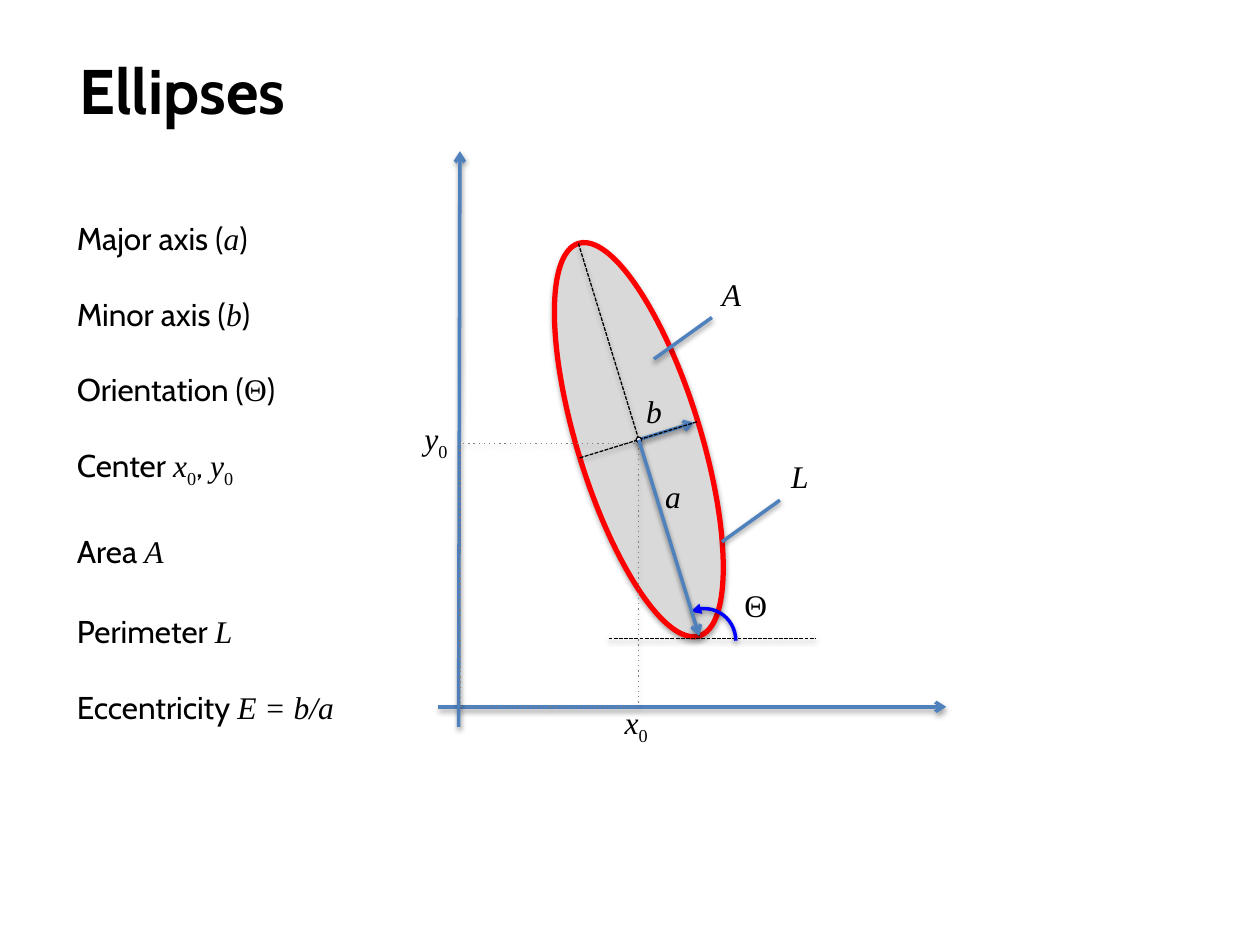
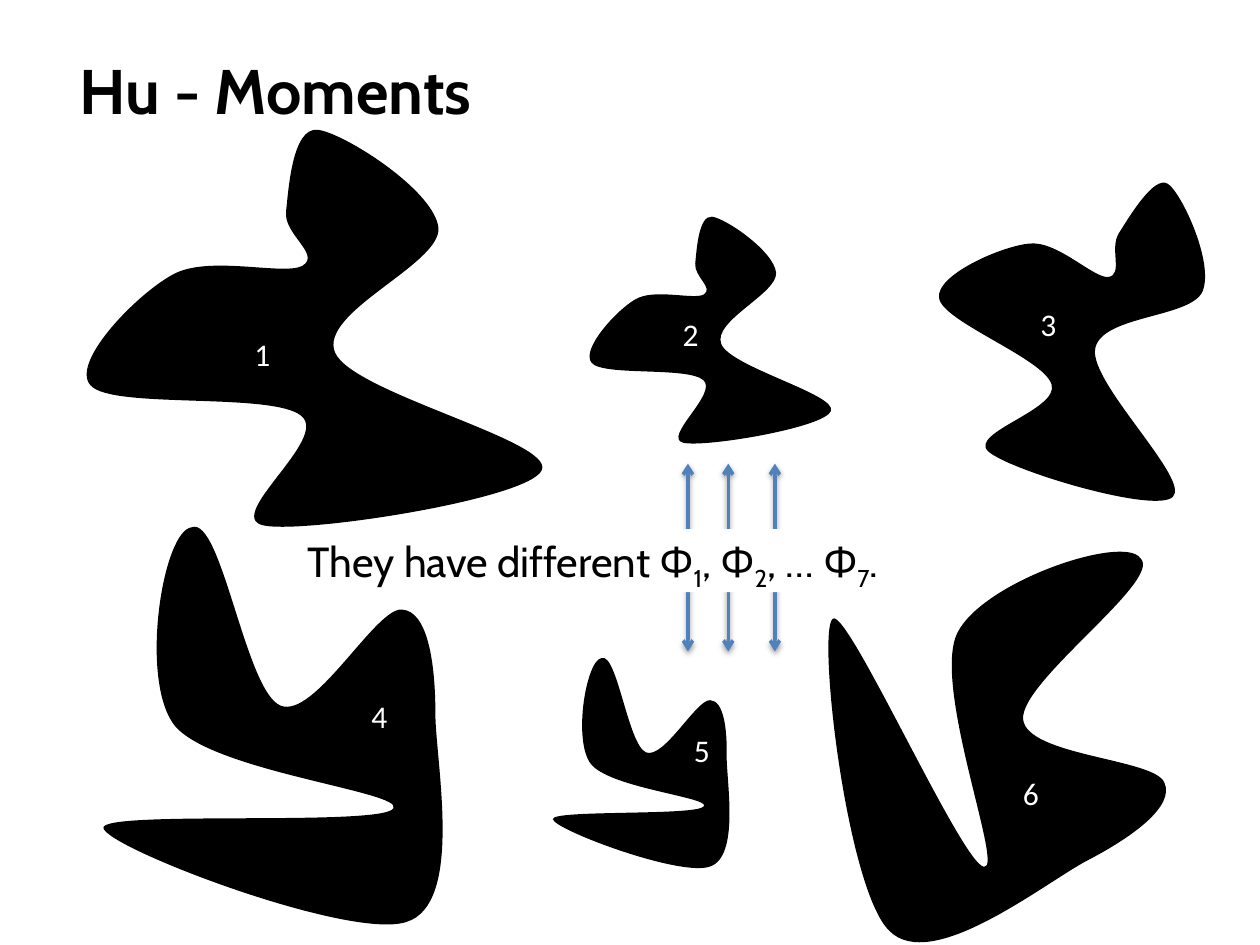
from math import cos, radians, sin

from lxml.etree import SubElement
from pptx import Presentation
from pptx.dml.color import RGBColor
from pptx.enum.shapes import MSO_CONNECTOR, MSO_SHAPE as Shape
from pptx.enum.text import MSO_ANCHOR, MSO_AUTO_SIZE, PP_ALIGN
from pptx.oxml.ns import qn
from pptx.util import Inches, Pt

BLUE, BLACK, WHITE = "4F81BD", "000000", "FFFFFF"
RED, GRAY, DOT_GRAY, ARC_BLUE = "FF0000", "D9D9D9", "808080", "0000FF"
TITLE_LEFT, TITLE_TOP, TITLE_HEIGHT = 0.53, 0.36, 0.71

# style name: font, italic, subscript
STYLES = {
    "text": ("Cabin", False, False),
    "text_sub": ("Cabin", False, True),
    "var": ("Times New Roman", True, False),
    "greek": ("Times New Roman", False, False),
    "var_sub": ("Times New Roman", False, True),
    "number": ("Calibri", False, False),
}

X0 = [("x", "var"), ("0", "var_sub")]
Y0 = [("y", "var"), ("0", "var_sub")]

# space before in points, runs
PROPERTIES = [
    (0, [("Major axis (", "text"), ("a", "var"), (")", "text")]),
    (21.6, [("Minor axis (", "text"), ("b", "var"), (")", "text")]),
    (21.6, [("Orientation (", "text"), ("Θ", "greek"), (")", "text")]),
    (21.6, [("Center ", "text"), *X0, (", ", "text"), *Y0]),
    (24.5, [("Area ", "text"), ("A", "var")]),
    (24.2, [("Perimeter ", "text"), ("L", "var")]),
    (22, [("Eccentricity ", "text"), ("E = b/a", "var")]),
]
PROPERTIES_BOX = (0.51, 1.39, 2.56, 4.85)
PROPERTIES_INSET = 0.35

CENTER = (5.07, 3.49)
SEMI_MAJOR, SEMI_MINOR, TILT = 1.63, 0.49, 72.9
ORIGIN = (3.65, 5.61)
AXES = [((3.48, 5.61), (7.51, 5.61)), ((3.64, 5.77), (3.65, 1.2))]
POINTERS = [((5.65, 2.52), (5.19, 2.85)), ((6.19, 3.97), (5.73, 4.3))]
BASELINE = ((4.83, 5.07), (6.48, 5.07))
SYMBOLS = [
    ((5.18, 3.74, 0.34, 0.4), [("a", "var")]),
    ((5.03, 3.06, 0.33, 0.4), [("b", "var")]),
    ((4.86, 5.53, 0.41, 0.4), X0),
    ((3.27, 3.28, 0.43, 0.4), Y0),
    ((5.63, 2.13, 0.39, 0.4), [("A", "var")]),
    ((6.18, 3.58, 0.37, 0.4), [("L", "var")]),
    ((5.81, 4.6, 0.4, 0.4), [("Θ", "greek")]),
]

# Closed outlines: size, start point, (control, control, end) for each curve
BIRD = ((3.62, 3.15), (1.58, 0.65), [
    ((1.6, 0.47), (1.63, -0.02), (1.83, 0)),
    ((2.03, 0.02), (2.76, 0.48), (2.79, 0.78)),
    ((2.81, 1.07), (1.83, 1.45), (1.97, 1.77)),
    ((2.11, 2.09), (3.71, 2.47), (3.61, 2.7)),
    ((3.52, 2.93), (1.72, 3.21), (1.4, 3.14)),
    ((1.08, 3.07), (1.93, 2.45), (1.7, 2.27)),
    ((1.47, 2.08), (0.2, 2.22), (0.03, 2.03)),
    ((-0.14, 1.85), (0.4, 1.3), (0.68, 1.15)),
    ((0.96, 0.99), (1.56, 1.16), (1.71, 1.08)),
    ((1.86, 0.99), (1.56, 0.83), (1.58, 0.65))])
CLAW = ((3.1, 2.68), (1.33, 1.14), [
    ((1.62, 1.11), (1.64, 0.1), (1.83, 0.02)),
    ((2.02, -0.07), (2.27, 0.28), (2.46, 0.65)),
    ((2.66, 1.01), (3.34, 1.87), (3.01, 2.2)),
    ((2.69, 2.54), (0.62, 2.78), (0.53, 2.65)),
    ((0.45, 2.53), (2.49, 1.62), (2.5, 1.45)),
    ((2.52, 1.29), (1.05, 1.87), (0.64, 1.66)),
    ((0.23, 1.45), (-0.14, 0.34), (0.05, 0.21)),
    ((0.22, 0.02), (1.03, 1.17), (1.33, 1.14))])

# outline, box, rotation, left and top of the number
BLOBS = [
    (BIRD, (0.69, 1.03, 3.62, 3.15), 0, (1.92, 2.61)),
    (BIRD, (4.68, 1.72, 1.92, 1.8), 0, (5.32, 2.45)),
    (BIRD, (7.47, 1.31, 2.4, 2.55), 27.5, (8.16, 2.37)),
    (CLAW, (0.78, 4.54, 3.1, 2.68), 27.5, (2.85, 5.48)),
    (CLAW, (4.38, 5.4, 1.6, 1.44), 27.5, (5.41, 5.75)),
    (CLAW, (6.37, 4.59, 3.1, 2.68), 90, (8.02, 6.09)),
]
MOMENT_ARROWS_X = (5.46, 5.78, 6.15)
MOMENTS = [("They have different Φ", "text"), ("1", "text_sub"), (", Φ", "text"),
           ("2", "text_sub"), (", … Φ", "text"), ("7", "text_sub"), (".", "text")]
MOMENTS_BOX = (2.34, 4.2, 5.34, 0.5)


def rgb(color):
    return RGBColor.from_string(color)


def inches(lengths):
    return [Inches(length) for length in lengths]


def fill_solid(shape, color):
    shape.fill.solid()
    shape.fill.fore_color.rgb = rgb(color)


def add_shadow(shape, opacity, distance):
    effects = SubElement(shape._element.spPr, qn("a:effectLst"))
    shadow = SubElement(effects, qn("a:outerShdw"), blurRad=str(Pt(3.1)),
                        dist=str(Pt(distance)), dir="5400000", rotWithShape="0")
    black = SubElement(shadow, qn("a:srgbClr"), val=BLACK)
    SubElement(black, qn("a:alpha"), val=str(opacity * 1000))


def style_line(shape, color, width, dash=None, head=None, tail=None):
    shape.line.color.rgb = rgb(color)
    shape.line.width = Pt(width)
    outline = shape._element.spPr.find(qn("a:ln"))
    if dash:
        SubElement(outline, qn("a:prstDash"), val=dash)
    for end, arrow in (("a:headEnd", head), ("a:tailEnd", tail)):
        if arrow:
            SubElement(outline, qn(end), type=arrow)


def add_line(slide, start, end, color=BLUE, width=2, **line_style):
    line = slide.shapes.add_connector(MSO_CONNECTOR.STRAIGHT, *inches((*start, *end)))
    style_line(line, color, width, **line_style)
    add_shadow(line, 38, 1.6)


def add_outlined(slide, preset, box, color, width, fill=None, shadow=(35, 1.8), **line_style):
    shape = slide.shapes.add_shape(preset, *inches(box))
    if fill:
        fill_solid(shape, fill)
    else:
        shape.fill.background()
    style_line(shape, color, width, **line_style)
    add_shadow(shape, *shadow)
    return shape


def write_runs(paragraph, runs, size, color=BLACK):
    for text, style in runs:
        run = paragraph.add_run()
        run.text = text
        font = run.font
        font.name, font.italic, subscript = STYLES[style]
        font.size = Pt(size)
        font.color.rgb = rgb(color)
        if subscript:
            font._element.set("baseline", "-25000")


def add_label(slide, box, runs, size=18, color=BLACK):
    label = slide.shapes.add_textbox(*inches(box))
    write_runs(label.text_frame.paragraphs[0], runs, size, color)
    return label


def place(shape, box):
    shape.left, shape.top, shape.width, shape.height = inches(box)


def add_titled_slide(deck, layout_index, heading, title_width):
    slide = deck.slides.add_slide(deck.slide_layouts[layout_index])
    title = slide.shapes.title
    place(title, (TITLE_LEFT, TITLE_TOP, title_width, TITLE_HEIGHT))
    frame = title.text_frame
    frame.text = heading
    frame.auto_size = MSO_AUTO_SIZE.NONE
    frame.word_wrap = False
    frame.vertical_anchor = MSO_ANCHOR.TOP
    paragraph = frame.paragraphs[0]
    paragraph.alignment = PP_ALIGN.LEFT
    font = paragraph.runs[0].font
    font.name, font.size, font.bold = "Cabin", Pt(36), True
    font.color.rgb = rgb(BLACK)
    return slide


def fill_properties(body):
    place(body, PROPERTIES_BOX)
    fill_solid(body, WHITE)
    frame = body.text_frame
    frame.auto_size = MSO_AUTO_SIZE.NONE
    frame.vertical_anchor = MSO_ANCHOR.TOP
    frame.margin_top = Inches(PROPERTIES_INSET)
    for index, (gap, runs) in enumerate(PROPERTIES):
        paragraph = frame.add_paragraph() if index else frame.paragraphs[0]
        paragraph.space_before = Pt(gap)
        layout = paragraph._p.get_or_add_pPr()
        layout.set("marL", "0")
        layout.set("indent", "0")
        SubElement(layout, qn("a:buNone"))
        write_runs(paragraph, runs, 18)


def from_center(distance, angle):
    x, y = CENTER
    return x + distance * cos(radians(angle)), y + distance * sin(radians(angle))


def centered_box(width, height):
    x, y = CENTER
    return x - width / 2, y - height / 2, width, height


def build_ellipse_slide(deck):
    slide = add_titled_slide(deck, 1, "Ellipses", 1.96)
    fill_properties(slide.placeholders[1])

    ellipse = add_outlined(slide, Shape.OVAL, centered_box(2 * SEMI_MAJOR, 2 * SEMI_MINOR),
                           RED, 3, GRAY)
    ellipse.rotation = TILT
    minor_angle = TILT - 90
    add_line(slide, CENTER, from_center(SEMI_MINOR - 0.03, minor_angle), tail="arrow")
    for radius, angle in ((SEMI_MAJOR, TILT), (SEMI_MINOR, minor_angle)):
        add_line(slide, from_center(-radius, angle), from_center(radius, angle),
                 BLACK, 0.75, dash="sysDash")
    add_outlined(slide, Shape.OVAL, centered_box(0.04, 0.04), BLACK, 0.75, WHITE)

    for start, end in AXES:
        add_line(slide, start, end, tail="arrow")
    left, bottom = ORIGIN
    top = CENTER[1] + 0.03
    add_outlined(slide, Shape.RECTANGLE, (left, top, CENTER[0] - left, bottom - top),
                 DOT_GRAY, 0.75, dash="dot")
    for start, end in POINTERS:
        add_line(slide, start, end)
    add_line(slide, *BASELINE, BLACK, 0.75, dash="sysDash")
    arc = add_outlined(slide, Shape.ARC, (5.34, 4.83, 0.5, 0.51), ARC_BLUE, 2,
                       shadow=(38, 1.6), head="triangle")
    arc.adjustments[0], arc.adjustments[1] = 146.94, 0
    for box, runs in SYMBOLS:
        add_label(slide, box, runs)
    add_line(slide, CENTER, from_center(SEMI_MAJOR, TILT), tail="arrow")


def curve_path(path, size, curves):
    """Turn the straight segments of a freeform path into Bezier curves."""
    width, height = inches(size)
    path.set("w", str(width))
    path.set("h", str(height))
    start, *segments, close = path
    for segment in segments:
        path.remove(segment)
    path.remove(close)
    for curve in curves:
        bezier = SubElement(path, qn("a:cubicBezTo"))
        for x, y in curve:
            SubElement(bezier, qn("a:pt"), x=str(Inches(x)), y=str(Inches(y)))
    path.append(close)
    end_x, end_y = inches(curves[-1][-1])
    start[0].set("x", str(end_x))
    start[0].set("y", str(end_y))


def add_blob(slide, outline, box, rotation):
    size, start, curves = outline
    builder = slide.shapes.build_freeform(*inches(start))
    builder.add_line_segments([inches(curve[-1]) for curve in curves])
    blob = builder.convert_to_shape()
    curve_path(blob._element.spPr.find(".//" + qn("a:path")), size, curves)
    place(blob, box)
    blob.rotation = rotation
    fill_solid(blob, BLACK)
    blob.line.fill.background()
    blob.shadow.inherit = False


def build_moments_slide(deck):
    slide = add_titled_slide(deck, 5, "Hu - Moments", 3.44)
    for outline, box, rotation, _ in BLOBS:
        add_blob(slide, outline, box, rotation)
    for x in MOMENT_ARROWS_X:
        add_line(slide, (x, 3.68), (x, 5.17), head="arrow", tail="arrow")
    banner = add_label(slide, MOMENTS_BOX, MOMENTS, 24)
    banner.text_frame.word_wrap = True
    fill_solid(banner, WHITE)
    for number, (_, _, _, corner) in enumerate(BLOBS, 1):
        add_label(slide, (*corner, 0.33, 0.4), [(str(number), "number")], color=WHITE)


def main():
    deck = Presentation()
    deck.slide_width, deck.slide_height = Inches(10), Inches(7.5)
    build_ellipse_slide(deck)
    build_moments_slide(deck)
    deck.save("out.pptx")


if __name__ == "__main__":
    main()
